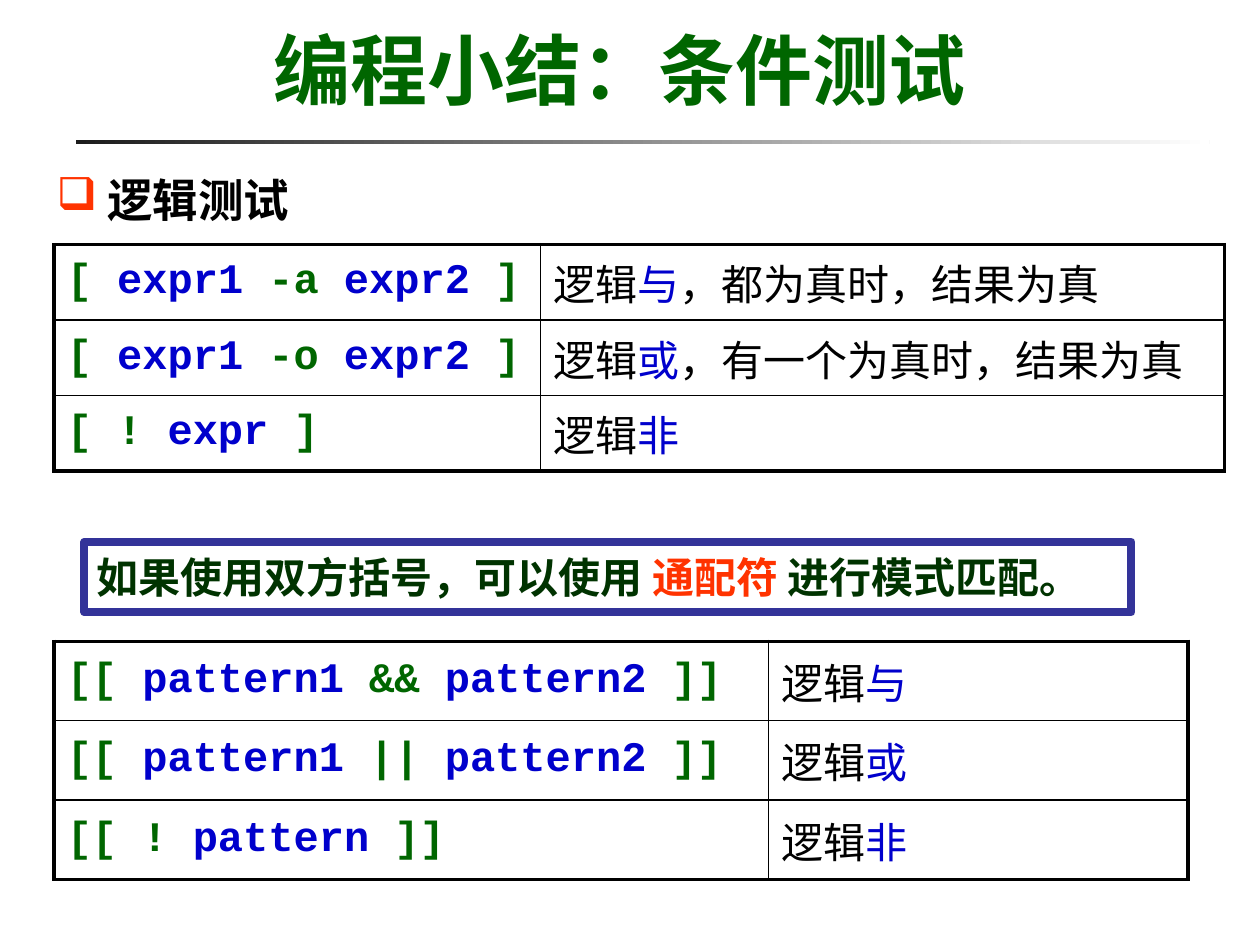
import pptx
import pptx.util
import pptx.dml.color
import pptx.enum.shapes
import pptx.enum.text
import pptx.oxml.ns
import lxml.etree

GREEN, BLUE, RED, BLACK = "006600", "0000CC", "FF3300", "000000"
DARK, FRAME = "003300", "333399"
CODE, SERIF, HAN = "Courier New", "Times New Roman", "Noto Sans CJK SC"
THICK, THIN = 2.25, 1

TITLE = [("编程小结：", GREEN), ("条件测试", GREEN)]
HEAD = [(" 逻辑测试", BLACK)]
NOTE = [("如果使用双方括号，可以使用 ", DARK), ("通配符", RED), (" 进行模式匹配。", DARK)]

TESTS = [
    (["[ ", "expr1 ", "-a ", "expr2 ", "]"], ["逻辑", "与", "，都为真时，结果为真"]),
    (["[ ", "expr1 ", "-o ", "expr2 ", "]"], ["逻辑", "或", "，有一个为真时，结果为真"]),
    (["[ ! ", "expr ", "]"], ["逻辑", "非"]),
]
MATCHES = [
    (["[[ ", "pattern1 ", "&& ", "pattern2 ", "]]"], ["逻辑", "与"]),
    (["[[ ", "pattern1 ", "|| ", "pattern2 ", "]]"], ["逻辑", "或"]),
    (["[[ ! ", "pattern ", "]]"], ["逻辑", "非"]),
]
TABLES = [
    (5.09, [5.67, 3.33], 0.63, MATCHES),
    (1.94, [3.86, 5.43], 0.6, TESTS),
]
LEFT = 0.43

inch = pptx.util.Inches
MIDDLE = pptx.enum.text.MSO_ANCHOR.MIDDLE


def rgb(code):
    return pptx.dml.color.RGBColor.from_string(code)


def sub(parent, tag, **attrs):
    return lxml.etree.SubElement(parent, pptx.oxml.ns.qn("a:" + tag), **attrs)


def write(para, runs, size, font, bold=True):
    for text, color in runs:
        run = para.add_run()
        run.text = text
        run.font.size = pptx.util.Pt(size)
        run.font.name = font
        run.font.bold = bold
        run.font.color.rgb = rgb(color)
        sub(run._r.get_or_add_rPr(), "ea", typeface=HAN)


def shade(words, even):
    return [(word, BLUE if i % 2 else even) for i, word in enumerate(words)]


def add_box(slide, *place):
    box = slide.shapes.add_textbox(*map(inch, place))
    box.text_frame.word_wrap = True
    return box.text_frame


def add_rect(slide, *place):
    rect = slide.shapes.add_shape(
        pptx.enum.shapes.MSO_SHAPE.RECTANGLE, *map(inch, place))
    rect.shadow.inherit = False
    return rect


def edge(cell, sides):
    props = cell._tc.get_or_add_tcPr()
    for side, width in sides.items():
        line = sub(props, "ln" + side, w=str(int(pptx.util.Pt(width))))
        sub(sub(line, "solidFill"), "srgbClr", val=BLACK)
    cell.fill.background()


def add_grid(slide, top, widths, height, rows):
    count, span = len(rows), len(widths)
    table = slide.shapes.add_table(
        count, span, inch(LEFT), inch(top),
        inch(sum(widths)), inch(height * count)).table
    table.first_row = table.horz_banding = False
    for col, width in zip(table.columns, widths):
        col.width = inch(width)
    for r, row in enumerate(rows):
        for c, words in enumerate(row):
            cell = table.cell(r, c)
            cell.vertical_anchor = MIDDLE
            edge(cell, {
                "L": THICK if c == 0 else THIN,
                "R": THICK if c == span - 1 else THIN,
                "T": THICK if r == 0 else THIN,
                "B": THICK if r == count - 1 else THIN,
            })
            para = cell.text_frame.paragraphs[0]
            if c == 0:
                write(para, shade(words, GREEN), 24, CODE)
            else:
                write(para, shade(words, BLACK), 24, SERIF, False)


def main():
    deck = pptx.Presentation()
    deck.slide_width, deck.slide_height = inch(10), inch(7.5)
    slide = deck.slides.add_slide(deck.slide_layouts[6])

    rule = add_rect(slide, 0.6, 1.11, 9, 0.03)
    rule.line.fill.background()
    rule.fill.gradient()
    rule.fill.gradient_angle = 0
    for stop, color in zip(rule.fill.gradient_stops, ["1C1C1C", "FFFFFF"]):
        stop.color.rgb = rgb(color)

    title = add_box(slide, 1.42, 0.13, 7, 0.83)
    title.vertical_anchor = MIDDLE
    title.paragraphs[0].alignment = pptx.enum.text.PP_ALIGN.CENTER
    write(title.paragraphs[0], TITLE, 44, HAN)

    para = add_box(slide, 0.35, 1.23, 3.35, 0.62).paragraphs[0]
    para.line_spacing = 1.2
    props = para._p.get_or_add_pPr()
    sub(sub(props, "buClr"), "srgbClr", val=RED)
    sub(props, "buChar", char="❑")
    write(para, HEAD, 26, SERIF)

    note = add_rect(slide, 0.67, 4.3, 8.31, 0.56)
    note.fill.background()
    note.line.color.rgb = rgb(FRAME)
    note.line.width = pptx.util.Pt(4.5)
    note.text_frame.word_wrap = True
    note.text_frame.vertical_anchor = MIDDLE
    para = note.text_frame.paragraphs[0]
    para.alignment = pptx.enum.text.PP_ALIGN.LEFT
    write(para, NOTE, 24, HAN)

    for spot in TABLES:
        add_grid(slide, *spot)
    deck.save("out.pptx")


if __name__ == "__main__":
    main()
